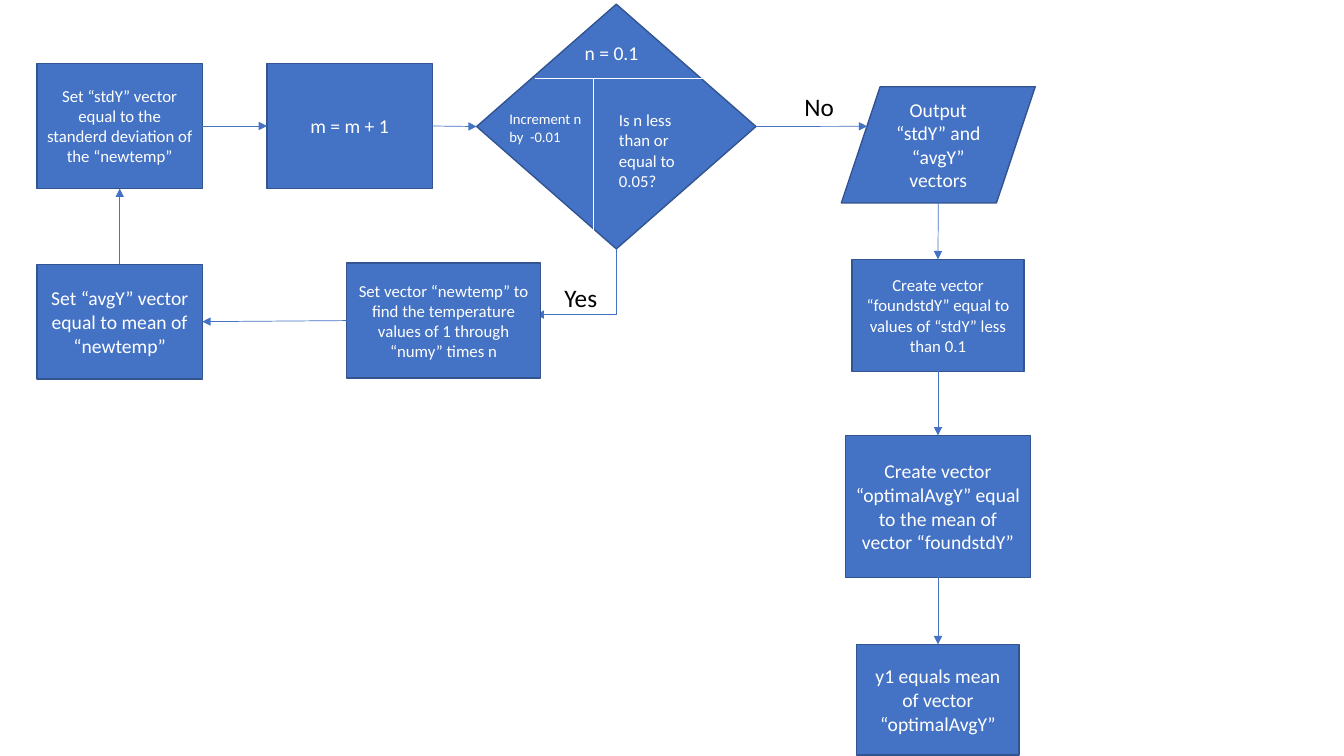
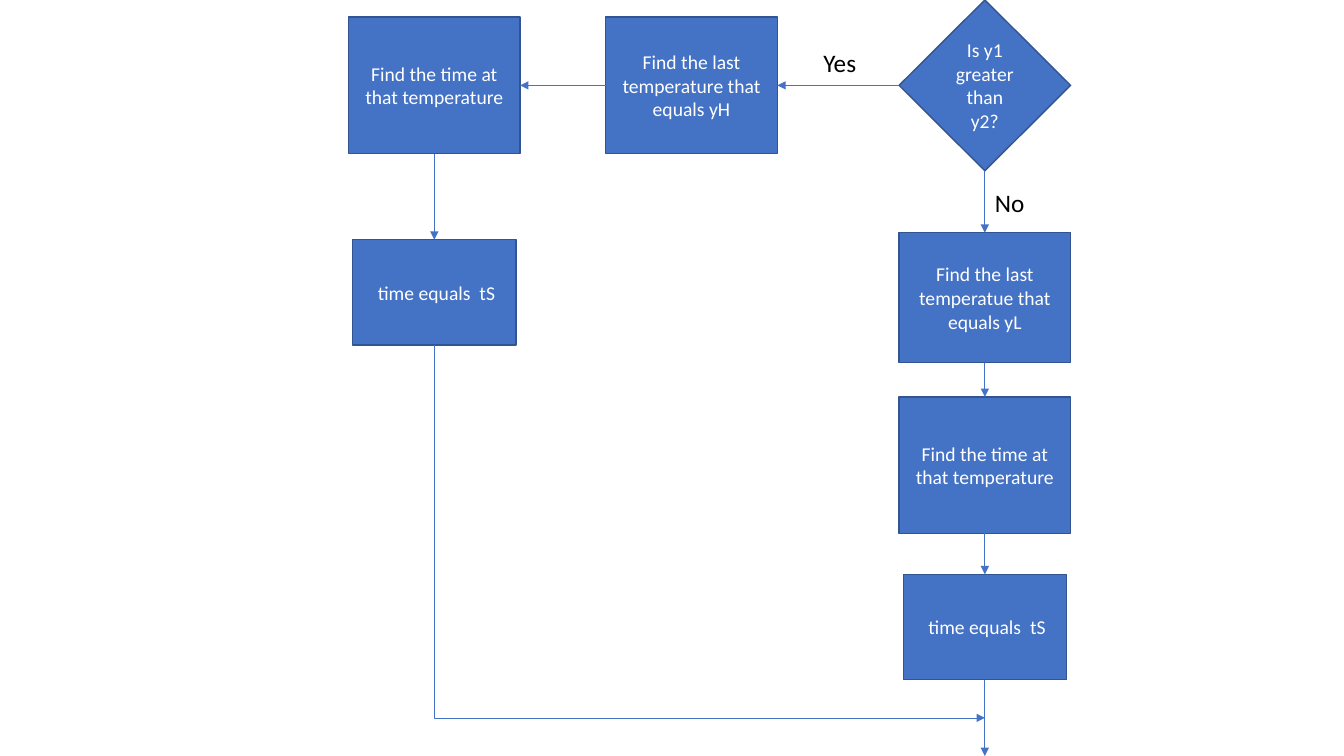
import dataclasses

import pptx
import pptx.dml.color
import pptx.enum.shapes
import pptx.enum.text
import pptx.oxml.ns
import pptx.oxml.xmlchemy
import pptx.util

Pt = pptx.util.Pt
qn = pptx.oxml.ns.qn
SHAPES = pptx.enum.shapes.MSO_SHAPE
CONNECTORS = pptx.enum.shapes.MSO_CONNECTOR
TOP, LEFT, BOTTOM, RIGHT = range(4)  # connection sites of boxes and diamonds


@dataclasses.dataclass(frozen=True)
class Theme:
    fill: str = "4472C4"
    outline: str = "325491"
    light: str = "FFFFFF"
    dark: str = "000000"
    font: str = "Calibri"
    label: float = 18
    body: float = 14
    small: float = 12
    tiny: float = 10.5
    border: float = 1
    hairline: float = 0.5


THEME = Theme()


def color(code):
    return pptx.dml.color.RGBColor.from_string(code)


def set_text(frame, text, size, ink):
    frame.word_wrap = True
    frame.text = text
    for span in frame.paragraphs[0].runs:
        span.font.name = THEME.font
        span.font.size = Pt(size)
        span.font.color.rgb = color(ink)


# Boxes and labels
def add_step(page, text, left, top, width, height, size=THEME.body, kind=SHAPES.RECTANGLE):
    box = page.shapes.add_shape(kind, Pt(left), Pt(top), Pt(width), Pt(height))
    box.shadow.inherit = False
    box.fill.solid()
    box.fill.fore_color.rgb = color(THEME.fill)
    box.line.color.rgb = color(THEME.outline)
    box.line.width = Pt(THEME.border)
    if text:
        set_text(box.text_frame, text, size, THEME.light)
        box.text_frame.vertical_anchor = pptx.enum.text.MSO_ANCHOR.MIDDLE
        box.text_frame.paragraphs[0].alignment = pptx.enum.text.PP_ALIGN.CENTER
    return box


def add_label(page, text, left, top, width, height, size=THEME.label, ink=THEME.dark):
    box = page.shapes.add_textbox(Pt(left), Pt(top), Pt(width), Pt(height))
    set_text(box.text_frame, text, size, ink)
    box.text_frame.auto_size = pptx.enum.text.MSO_AUTO_SIZE.SHAPE_TO_FIT_TEXT


# Lines and arrows
def add_line(page, start, end, ink=THEME.light, kind=CONNECTORS.STRAIGHT):
    line = page.shapes.add_connector(kind, *(Pt(length) for length in (*start, *end)))
    line.line.color.rgb = color(ink)
    line.line.width = Pt(THEME.hairline)
    properties = line.element.spPr
    properties.append(properties.makeelement(qn("a:effectLst"), {}))
    return line


def add_arrow(page, start, end, kind=CONNECTORS.STRAIGHT):
    arrow = add_line(page, start, end, THEME.fill, kind)
    outline = arrow.element.spPr.find(qn("a:ln"))
    outline.append(outline.makeelement(qn("a:tailEnd"), {"type": "triangle"}))
    return arrow


def add_corner_arrow(page, start, end):
    """Run down from start, then sideways to end."""
    middle_x, middle_y = (start[0] + end[0]) / 2, (start[1] + end[1]) / 2
    half_run, half_drop = abs(end[0] - start[0]) / 2, abs(end[1] - start[1]) / 2
    # The bend is a quarter turn of a frame whose width is the drop
    arrow = add_arrow(page, (middle_x - half_drop, middle_y - half_run),
                      (middle_x + half_drop, middle_y + half_run), CONNECTORS.ELBOW)
    properties = arrow.element.spPr
    properties.find(qn("a:prstGeom")).set("prst", "bentConnector2")
    frame = properties.find(qn("a:xfrm"))
    goes_right = end[0] > start[0]
    frame.set("rot", str((270 if goes_right else 90) * 60000))
    if goes_right:
        frame.set("flipH", "1")


def side_point(box, side):
    across = {LEFT: 0, RIGHT: 1}.get(side, 0.5)
    down = {TOP: 0, BOTTOM: 1}.get(side, 0.5)
    return (box.left + box.width * across) / Pt(1), (box.top + box.height * down) / Pt(1)


def link(page, first, leaving, second, entering):
    arrow = add_arrow(page, side_point(first, leaving), side_point(second, entering))
    arrow.begin_connect(first, leaving)
    arrow.end_connect(second, entering)


def add_column(page, center, steps):
    """Stack steps given as (text, top, width, height, size), linked downwards."""
    boxes = [add_step(page, text, center - width / 2, top, width, height, size)
             for text, top, width, height, size in steps]
    for upper, lower in zip(boxes, boxes[1:]):
        link(page, upper, BOTTOM, lower, TOP)
    return boxes


# Slides
def build_search_loop(page):
    decision = add_step(page, "", 340.5, 3, 199.5, 174.75, kind=SHAPES.FLOWCHART_DECISION)
    add_label(page, "n = 0.1", 410.5, 26, 65, 24, THEME.body, THEME.light)
    add_line(page, (382.5, 55.75), (504, 55.75))
    add_line(page, (424, 55.75), (424, 171.5))
    add_label(page, "Is n less than or equal to 0.05?", 435, 75, 68.5, 65.5,
              THEME.small, THEME.light)
    add_label(page, "Increment n by  -0.01", 356.75, 75, 67, 32.5, THEME.tiny, THEME.light)

    # Loop on the left
    add_corner_arrow(page, side_point(decision, BOTTOM), (382.5, 224.75))
    newtemp = add_step(page, "Set vector “newtemp” to find the temperature values of 1 "
                       "through “numy” times n", 247.5, 188, 138.75, 82, THEME.small)
    average = add_step(page, "Set “avgY” vector equal to mean of “newtemp”",
                       26.5, 188.75, 118, 82)
    deviation = add_step(page, "Set “stdY” vector equal to the standerd deviation of the "
                         "“newtemp”", 26.5, 45.25, 118, 89.5, THEME.small)
    counter = add_step(page, "m = m + 1", 190.75, 45.25, 118, 89.5)
    link(page, newtemp, LEFT, average, RIGHT)
    link(page, average, TOP, deviation, BOTTOM)
    link(page, deviation, RIGHT, counter, LEFT)
    link(page, counter, RIGHT, decision, LEFT)
    add_label(page, "Yes", 396, 198.25, 40.5, 29)

    # Results on the right
    output = add_step(page, "Output “stdY” and “avgY” vectors", 601, 62, 138.5, 83,
                      kind=SHAPES.FLOWCHART_DATA)
    add_arrow(page, side_point(decision, RIGHT), (619.5, 90.25))
    add_label(page, "No", 567.5, 62, 44.5, 29)
    results = add_column(page, 670, [
        ("Create vector “foundstdY” equal to values of “stdY” less than 0.1",
         185.25, 123, 80, THEME.small),
        ("Create vector “optimalAvgY” equal to the mean of vector “foundstdY”",
         311, 132, 101.5, THEME.body),
        ("y1 equals mean of vector “optimalAvgY”", 460.25, 116, 79, THEME.body),
    ])
    add_arrow(page, side_point(output, BOTTOM), side_point(results[0], TOP))


def build_time_search(page):
    width, height = 122.5, 97.5
    find_time, time_found = "Find the time at that temperature", " time equals  tS"
    decision = add_step(page, "Is y1 greater than y2?", 642.25, 0, width, 122,
                        kind=SHAPES.FLOWCHART_DECISION)

    # Branch to the left
    find_high = add_step(page, "Find the last temperature that equals yH",
                         432.75, 12.25, width, height)
    high = add_column(page, 310.25, [
        (find_time, 12.25, width, height, THEME.body),
        (time_found, 171.25, 116.5, 75.25, THEME.body),
    ])
    link(page, decision, LEFT, find_high, RIGHT)
    link(page, find_high, LEFT, high[0], RIGHT)
    add_label(page, "Yes", 581, 30.25, 54.75, 29)

    # Branch downwards
    low = add_column(page, 703.5, [
        ("Find the last temperatue that equals yL", 166.25, width, 92.75, THEME.body),
        (find_time, 283.5, width, height, THEME.body),
        (time_found, 410.25, 116.5, 75.25, THEME.body),
    ])
    link(page, decision, BOTTOM, low[0], TOP)
    add_label(page, "No", 703.5, 130, 52, 29)

    # Both branches leave together
    add_arrow(page, side_point(low[-1], BOTTOM), (703.5, 540))
    add_corner_arrow(page, side_point(high[-1], BOTTOM), (703.5, 512.75))


def main():
    deck = pptx.Presentation()
    deck.slide_width, deck.slide_height = Pt(960), Pt(540)
    blank = deck.slide_layouts[6]
    for build in (build_search_loop, build_time_search):
        build(deck.slides.add_slide(blank))
    deck.save("out.pptx")


main()
